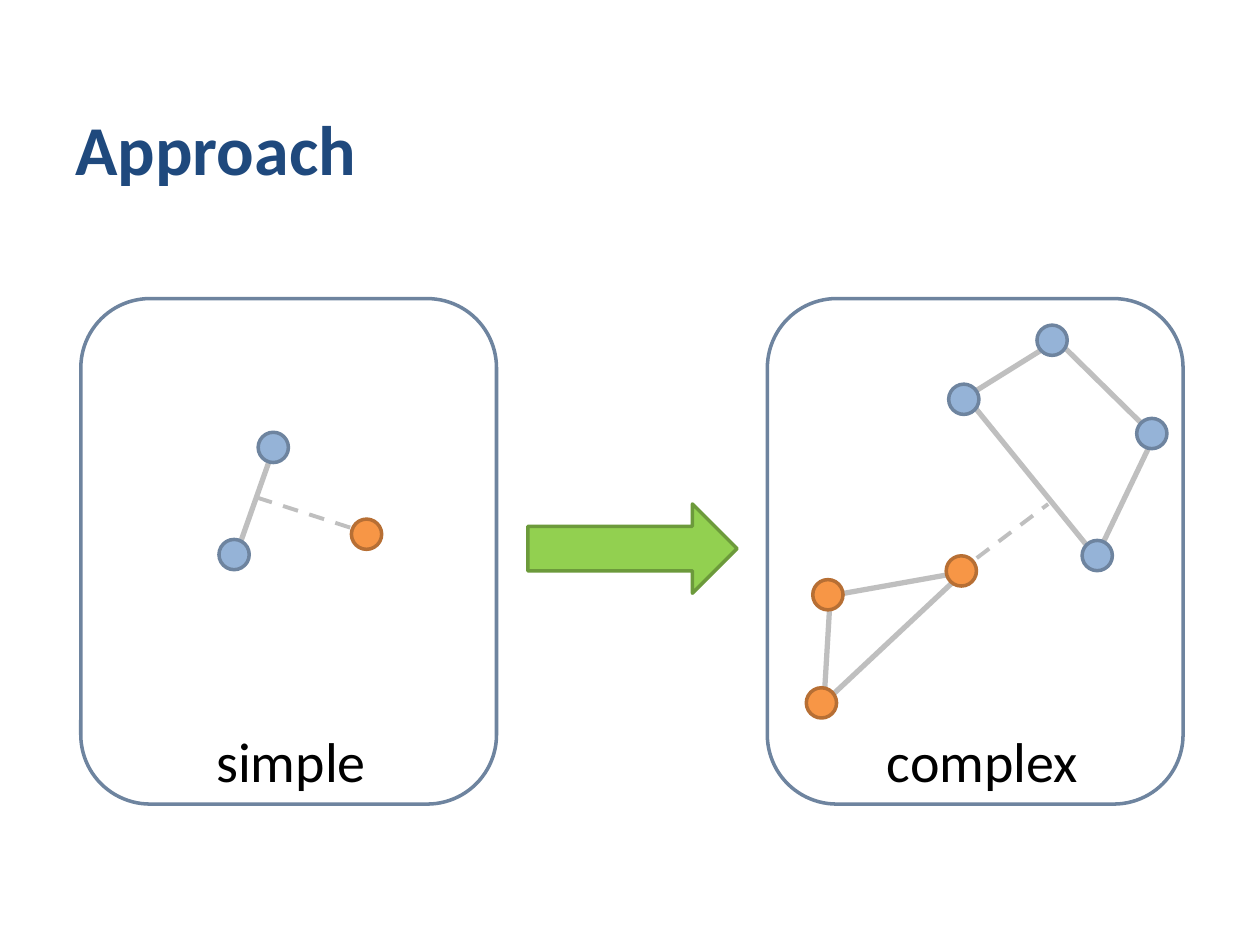
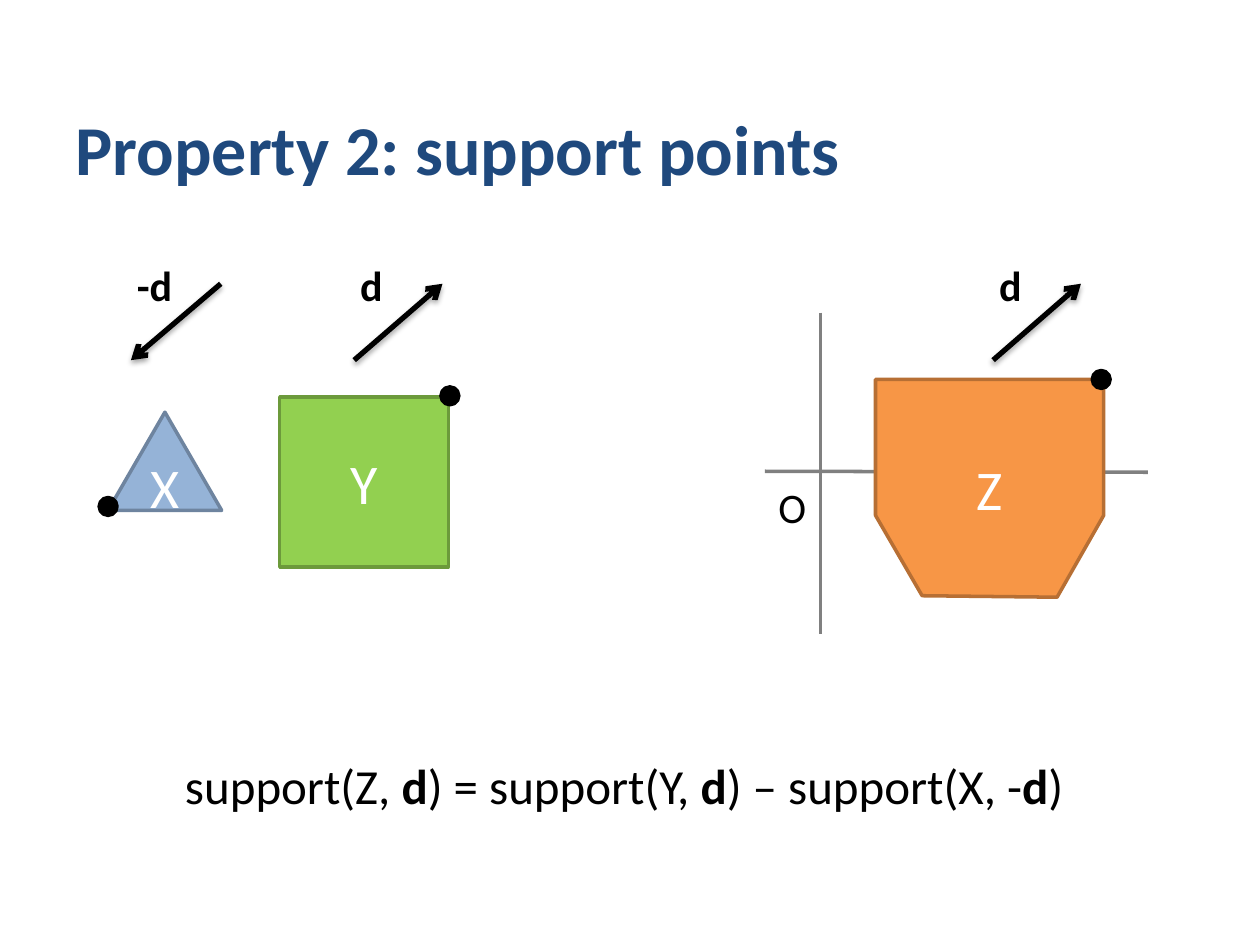
"""Build two slides on distance between convex shapes and their support points."""
from typing import NamedTuple, Optional

import pptx
import pptx.dml.color
import pptx.enum.dml
import pptx.enum.shapes
import pptx.enum.text
import pptx.oxml
import pptx.oxml.ns
import pptx.util
from pptx.shapes.base import BaseShape
from pptx.slide import Slide
from pptx.text.text import TextFrame

Cm = pptx.util.Cm
Pt = pptx.util.Pt
Kind = pptx.enum.shapes.MSO_SHAPE
Align = pptx.enum.text.PP_ALIGN
Anchor = pptx.enum.text.MSO_ANCHOR
Point = tuple[float, float]

FONT = "Calibri"
COLORS = {
    "title": "1F497D", "black": "000000", "white": "FFFFFF",
    "blue": "95B3D7", "blue_edge": "6E849F",
    "orange": "F79646", "orange_edge": "B76F34",
    "green": "92D050", "green_edge": "6C9A3B",
    "link": "BFBFBF", "axis": "808080",
}
NODE_SIZE = 0.61
DOT_SIZE = 0.36
PANEL_TOP, PANEL_WIDTH, PANEL_HEIGHT = 6.02, 8.38, 10.19
ARROW_TOP, ARROW_BOTTOM = 5.72, 7.26
SHADOW = (
    '<a:outerShdw %s blurRad="40000" dist="23000" dir="5400000" rotWithShape="0">'
    '<a:srgbClr val="000000"><a:alpha val="35000"/></a:srgbClr></a:outerShdw>'
    % pptx.oxml.ns.nsdecls("a")
)


class Box(NamedTuple):
    """Left, top, width and height in centimetres."""
    left: float
    top: float
    width: float
    height: float


class Line(NamedTuple):
    """A straight line with its look."""
    start: Point
    end: Point
    color: str = "link"
    width: float = 3
    dashed: bool = False
    arrow: bool = False


class Label(NamedTuple):
    """A line of text in a box of its own."""
    text: str
    box: Box
    size: float
    bold: bool = False
    wrap: bool = False


class Direction(NamedTuple):
    """A named direction arrow, placed by its left and right ends."""
    name: str
    left: float
    right: float
    label_width: float
    reverse: bool = False


class Solid(NamedTuple):
    """A filled preset shape with an optional name inside."""
    kind: Kind
    box: Box
    color: str
    name: str = ""


class Panel(NamedTuple):
    """A rounded frame with its caption, nodes, outlines and lines."""
    left: float
    caption: Label
    outlines: list[list[Point]]
    lines: list[Line]
    nodes: dict[str, list[Point]]


PANELS = [
    Panel(
        1.63,
        Label("simple", Box(4.11, 14.53, 3.66, 1.63), 32, wrap=True),
        [],
        [Line((5.18, 10.03), (7.32, 10.72), width=2.25, dashed=True),
         Line((4.8, 11.07), (5.54, 8.97))],
        {"blue": [(5.51, 9.02), (4.72, 11.18)], "orange": [(7.39, 10.77)]},
    ),
    Panel(
        15.47,
        Label("complex", Box(17.63, 14.53, 4.57, 1.63), 32, wrap=True),
        [[(19.48, 8), (22.1, 11.23), (23.27, 8.79), (21.31, 6.86)],
         [(16.61, 14.17), (19.43, 11.53), (16.74, 12.01)]],
        [Line((19.69, 11.25), (21.13, 10.16), width=2.25, dashed=True)],
        {"blue": [(19.43, 8.05), (21.21, 6.86), (23.22, 8.74), (22.12, 11.2)],
         "orange": [(16.69, 11.99), (16.56, 14.17), (19.38, 11.51)]},
    ),
]
BIG_ARROW = Solid(Kind.RIGHT_ARROW, Box(10.64, 10.16, 4.22, 1.8), "green")

AXES = [
    Line((15.42, 9.5), (23.14, 9.52), "axis", 2),
    Line((16.54, 6.3), (16.54, 12.78), "axis", 2),
]
Z_OUTLINE = [(17.65, 7.65), (17.65, 10.39), (18.59, 12.01),
             (21.31, 12.04), (22.25, 10.39), (22.25, 7.65)]
SOLIDS = [
    Solid(Kind.RECTANGLE, Box(5.64, 8, 3.4, 3.43), "green", "Y"),
    Solid(Kind.ISOSCELES_TRIANGLE, Box(2.18, 8.31, 2.29, 1.98), "blue", "X"),
]
DIRECTIONS = [
    Direction("d", 20.02, 21.79, 0.97),
    Direction("d", 7.14, 8.92, 0.97),
    Direction("-d", 2.64, 4.45, 1.24, reverse=True),
]
SUPPORT_POINTS = [(9.07, 7.98), (2.18, 10.21), (22.2, 7.65)]
ORIGIN = Label("O", Box(15.44, 9.58, 1.07, 1.27), 24)
FORMULA_BOX = Box(3.48, 15.11, 18.44, 1.45)
FORMULA = ["support(Z, ", "d", ") = support(Y, ", "d", ") – support(X, -", "d", ")"]


def rgb(name: str) -> pptx.dml.color.RGBColor:
    """Look up a colour by name."""
    return pptx.dml.color.RGBColor.from_string(COLORS[name])


def lengths(values: tuple) -> list[pptx.util.Length]:
    """Turn centimetres into lengths."""
    return [Cm(value) for value in values]


def style_text(frame: TextFrame, size: float, color: str, bold: bool = False) -> None:
    """Give every run of a text frame the same look."""
    for paragraph in frame.paragraphs:
        for run in paragraph.runs:
            run.font.name = FONT
            run.font.size = Pt(size)
            run.font.bold = bold
            run.font.color.rgb = rgb(color)


def style_shape(shape: BaseShape, fill: Optional[str], edge: str, width: float = 2) -> None:
    """Set fill and outline, and drop the shadow."""
    shape.shadow.inherit = False
    if fill:
        shape.fill.solid()
        shape.fill.fore_color.rgb = rgb(fill)
    else:
        shape.fill.background()
    shape.line.color.rgb = rgb(edge)
    shape.line.width = Pt(width)


def name_shape(shape: BaseShape, name: str) -> None:
    """Write a white name in the middle of a shape."""
    frame = shape.text_frame
    frame.text = name
    frame.vertical_anchor = Anchor.MIDDLE
    frame.paragraphs[0].alignment = Align.CENTER
    style_text(frame, 32, "white")


def draw_solid(slide: Slide, solid: Solid) -> None:
    """Draw a filled shape edged in the darker tone of its colour."""
    shape = slide.shapes.add_shape(solid.kind, *lengths(solid.box))
    style_shape(shape, solid.color, f"{solid.color}_edge")
    if solid.name:
        name_shape(shape, solid.name)


def draw_circle(slide: Slide, center: Point, size: float, fill: str, edge: str) -> None:
    """Draw a circle around its centre."""
    x, y = center
    box = Box(x - size / 2, y - size / 2, size, size)
    style_shape(slide.shapes.add_shape(Kind.OVAL, *lengths(box)), fill, edge)


def draw_polygon(slide: Slide, points: list[Point], fill: Optional[str],
                 edge: str, width: float) -> BaseShape:
    """Draw a closed outline through the points."""
    first, *rest = [lengths(point) for point in points]
    builder = slide.shapes.build_freeform(*first)
    builder.add_line_segments(rest, close=True)
    shape = builder.convert_to_shape()
    style_shape(shape, fill, edge, width)
    return shape


def draw_line(slide: Slide, line: Line) -> None:
    """Draw a line; an arrow gets a head and a soft shadow."""
    connector = slide.shapes.add_connector(
        pptx.enum.shapes.MSO_CONNECTOR.STRAIGHT, *lengths(line.start + line.end))
    connector.line.color.rgb = rgb(line.color)
    connector.line.width = Pt(line.width)
    if line.dashed:
        connector.line.dash_style = pptx.enum.dml.MSO_LINE.DASH
    properties = connector._element.spPr
    effects = pptx.oxml.parse_xml(f"<a:effectLst {pptx.oxml.ns.nsdecls('a')}/>")
    properties.append(effects)
    if line.arrow:
        effects.append(pptx.oxml.parse_xml(SHADOW))
        head = f'<a:tailEnd {pptx.oxml.ns.nsdecls("a")} type="arrow"/>'
        properties.find(pptx.oxml.ns.qn("a:ln")).append(pptx.oxml.parse_xml(head))


def draw_label(slide: Slide, label: Label) -> None:
    """Draw black text in a box that fits it."""
    frame = slide.shapes.add_textbox(*lengths(label.box)).text_frame
    frame.text = label.text
    frame.word_wrap = label.wrap
    frame.auto_size = pptx.enum.text.MSO_AUTO_SIZE.SHAPE_TO_FIT_TEXT
    style_text(frame, label.size, "black", label.bold)


def draw_direction(slide: Slide, direction: Direction) -> None:
    """Draw a direction arrow with its name above the left end."""
    ends = [(direction.left, ARROW_BOTTOM), (direction.right, ARROW_TOP)]
    if direction.reverse:
        ends.reverse()
    draw_line(slide, Line(*ends, color="black", arrow=True))
    box = Box(direction.left - 0.13, 5.11, direction.label_width, 1.27)
    draw_label(slide, Label(direction.name, box, 24, bold=True))


def draw_panel(slide: Slide, panel: Panel) -> None:
    """Draw a frame with its caption and linked nodes."""
    box = Box(panel.left, PANEL_TOP, PANEL_WIDTH, PANEL_HEIGHT)
    frame = slide.shapes.add_shape(Kind.ROUNDED_RECTANGLE, *lengths(box))
    style_shape(frame, None, "blue_edge")
    draw_label(slide, panel.caption)
    for outline in panel.outlines:
        draw_polygon(slide, outline, None, "link", 3)
    for line in panel.lines:
        draw_line(slide, line)
    for color, centers in panel.nodes.items():
        for center in centers:
            draw_circle(slide, center, NODE_SIZE, color, f"{color}_edge")


def draw_formula(slide: Slide) -> None:
    """Write the support formula with bold directions on white."""
    shape = slide.shapes.add_textbox(*lengths(FORMULA_BOX))
    shape.fill.solid()
    shape.fill.fore_color.rgb = rgb("white")
    frame = shape.text_frame
    frame.word_wrap = False
    frame.auto_size = pptx.enum.text.MSO_AUTO_SIZE.SHAPE_TO_FIT_TEXT
    for part in FORMULA:
        frame.paragraphs[0].add_run().text = part
    style_text(frame, 28, "black")
    for run in frame.paragraphs[0].runs:
        run.font.bold = run.text == "d"


def add_slide(presentation: pptx.presentation.Presentation, title: str) -> Slide:
    """Add a slide with the shared title style."""
    slide = presentation.slides.add_slide(presentation.slide_layouts[5])
    shape = slide.shapes.title
    shape.left, shape.top, shape.width, shape.height = lengths((1.27, 0.33, 20.96, 3.61))
    shape.text_frame.text = title
    shape.text_frame.vertical_anchor = Anchor.BOTTOM
    shape.text_frame.paragraphs[0].alignment = Align.LEFT
    style_text(shape.text_frame, 40, "title", bold=True)
    return slide


def main() -> None:
    """Build and save the presentation."""
    presentation = pptx.Presentation()
    presentation.slide_width, presentation.slide_height = Cm(25.4), Cm(19.05)

    approach = add_slide(presentation, "Approach")
    for panel in PANELS:
        draw_panel(approach, panel)
    draw_solid(approach, BIG_ARROW)

    support = add_slide(presentation, "Property 2: support points")
    draw_formula(support)
    for axis in AXES:
        draw_line(support, axis)
    name_shape(draw_polygon(support, Z_OUTLINE, "orange", "orange_edge", 2), "Z")
    for solid in SOLIDS:
        draw_solid(support, solid)
    draw_label(support, ORIGIN)
    for direction in DIRECTIONS:
        draw_direction(support, direction)
    for point in SUPPORT_POINTS:
        draw_circle(support, point, DOT_SIZE, "black", "black")

    presentation.save("out.pptx")


if __name__ == "__main__":
    main()
